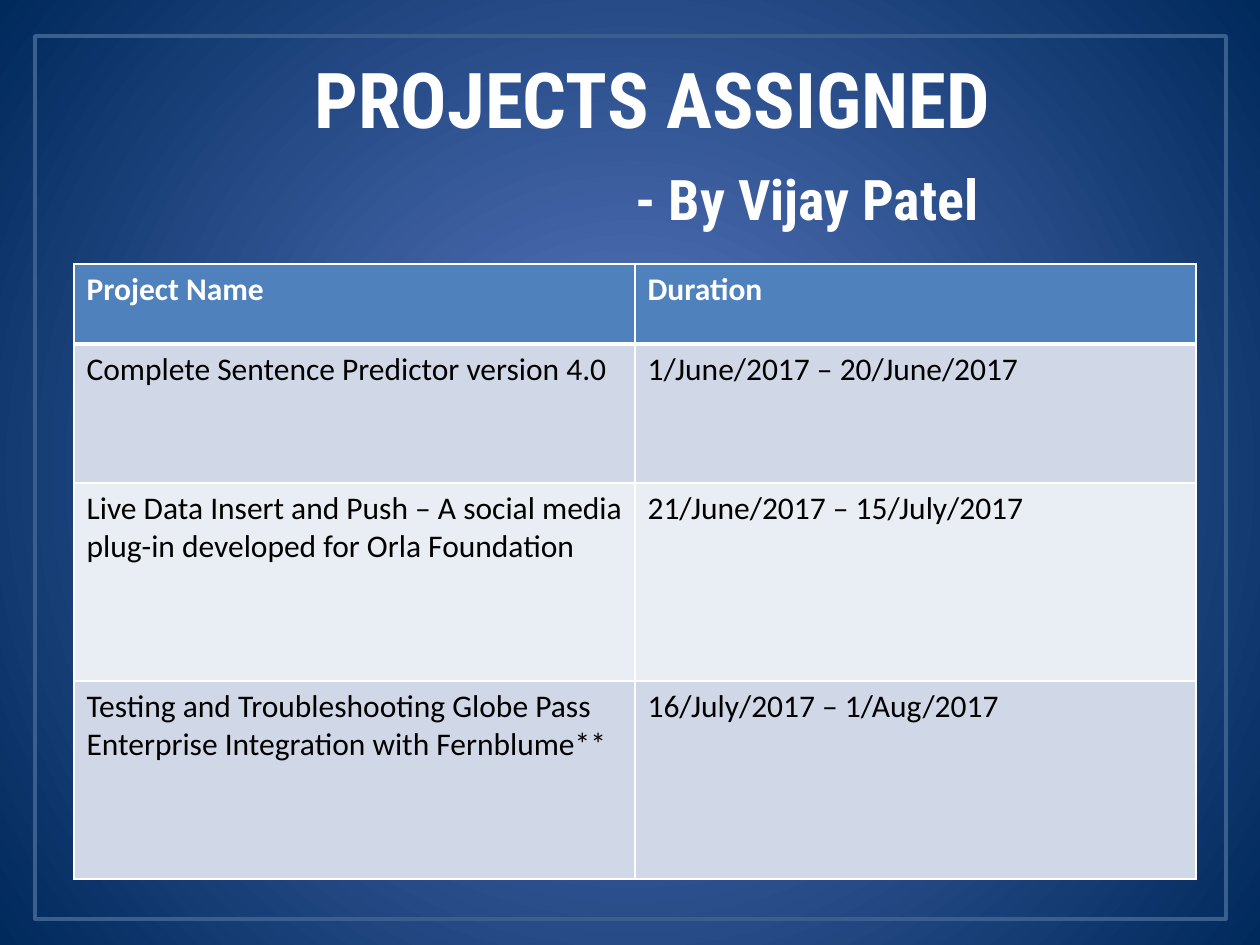
from dataclasses import dataclass

from lxml.etree import SubElement
from pptx import Presentation
from pptx.dml.color import RGBColor
from pptx.enum.shapes import MSO_SHAPE as Shape
from pptx.enum.text import MSO_ANCHOR as Anchor, MSO_AUTO_SIZE as AutoSize, PP_ALIGN as Align
from pptx.oxml.ns import qn
from pptx.util import Emu, Inches, Pt

PX = Inches(1) / 126
TITLE_FONT = "Roboto Condensed"
TABLE_FONT = "Calibri"
COLORS = {
    "glow": "5E7CC5",
    "edge": "00295C",
    "frame": "3A5F8C",
    "header": "4F81BD",
    "odd": "D0D8E8",
    "even": "E9EDF4",
    "white": "FFFFFF",
    "black": "000000",
}


@dataclass(frozen=True)
class Row:
    project: str
    duration: str
    height: int
    fill: str
    header: bool = False


ROWS = [
    Row("Project Name", "Duration", 80, "header", True),
    Row("Complete Sentence Predictor version 4.0",
        "1/June/2017 – 20/June/2017", 139, "odd"),
    Row("Live Data Insert and Push – A social media plug-in developed for Orla Foundation",
        "21/June/2017 – 15/July/2017", 198, "even"),
    Row("Testing and Troubleshooting Globe Pass Enterprise Integration with Fernblume**",
        "16/July/2017 – 1/Aug/2017", 198, "odd"),
]


def px(n: int) -> Emu:
    return Emu(round(n * PX))


def rgb(name: str) -> RGBColor:
    return RGBColor.from_string(COLORS[name])


def add_run(p, text: str, font: str, size: int, color: str, bold: bool) -> None:
    r = p.add_run()
    r.text = text
    r.font.name = font
    r.font.size = Pt(size)
    r.font.bold = bold
    r.font.color.rgb = rgb(color)


def set_background(slide) -> None:
    slide.background.fill.gradient()
    grad = slide.element.find(".//" + qn("a:gradFill"))
    for child in list(grad):
        grad.remove(child)
    stops = SubElement(grad, qn("a:gsLst"))
    for pos, name in ((0, "glow"), (100000, "edge")):
        stop = SubElement(stops, qn("a:gs"), pos=str(pos))
        SubElement(stop, qn("a:srgbClr"), val=COLORS[name])
    circle = SubElement(grad, qn("a:path"))
    circle.set("path", "circle")
    SubElement(circle, qn("a:fillToRect"), l="50000", t="50000", r="50000", b="50000")


def set_title(slide) -> None:
    sp = slide.shapes.title
    sp.left, sp.top, sp.width, sp.height = px(302), px(45), px(745), px(199)
    tf = sp.text_frame
    tf.word_wrap = True
    tf.auto_size = AutoSize.NONE
    tf.vertical_anchor = Anchor.TOP
    p = tf.paragraphs[0]
    p.alignment = Align.LEFT
    add_run(p, "PROJECTS ASSIGNED", TITLE_FONT, 44, "white", True)
    p = tf.add_paragraph()
    p.alignment = Align.LEFT
    p.space_before = Pt(12)
    pPr = p._p.get_or_add_pPr()
    pPr.set("marL", str(px(321)))
    pPr.set("indent", "0")
    add_run(p, "- By Vijay Patel", TITLE_FONT, 32, "white", True)


def add_frame(slide) -> None:
    sp = slide.shapes.add_shape(Shape.RECTANGLE, px(35), px(36), px(1191), px(883))
    sp.shadow.inherit = False
    sp.fill.background()
    sp.line.color.rgb = rgb("frame")
    sp.line.width = Pt(2)


def set_borders(cell, top: int, bottom: int) -> None:
    tcPr = cell._tc.get_or_add_tcPr()
    for side, width in (("L", 1), ("R", 1), ("T", top), ("B", bottom)):
        ln = SubElement(tcPr, qn("a:ln" + side), w=str(Pt(width)))
        fill = SubElement(ln, qn("a:solidFill"))
        SubElement(fill, qn("a:srgbClr"), val=COLORS["white"])


def add_projects(slide, rows: list[Row]) -> None:
    height = sum(row.height for row in rows)
    table = slide.shapes.add_table(len(rows), 2, px(74), px(264), px(1122), px(height)).table
    for col in table.columns:
        col.width = px(561)
    for i, row in enumerate(rows):
        table.rows[i].height = px(row.height)
        for j, text in enumerate((row.project, row.duration)):
            cell = table.cell(i, j)
            set_borders(cell, 3 if i == 1 else 1, 3 if row.header else 1)
            cell.fill.solid()
            cell.fill.fore_color.rgb = rgb(row.fill)
            color = "white" if row.header else "black"
            add_run(cell.text_frame.paragraphs[0], text, TABLE_FONT, 18, color, row.header)


prs = Presentation()
prs.slide_width, prs.slide_height = px(1260), px(945)
slide = prs.slides.add_slide(prs.slide_layouts[5])
set_background(slide)
set_title(slide)
add_frame(slide)
add_projects(slide, ROWS)
prs.save("out.pptx")
